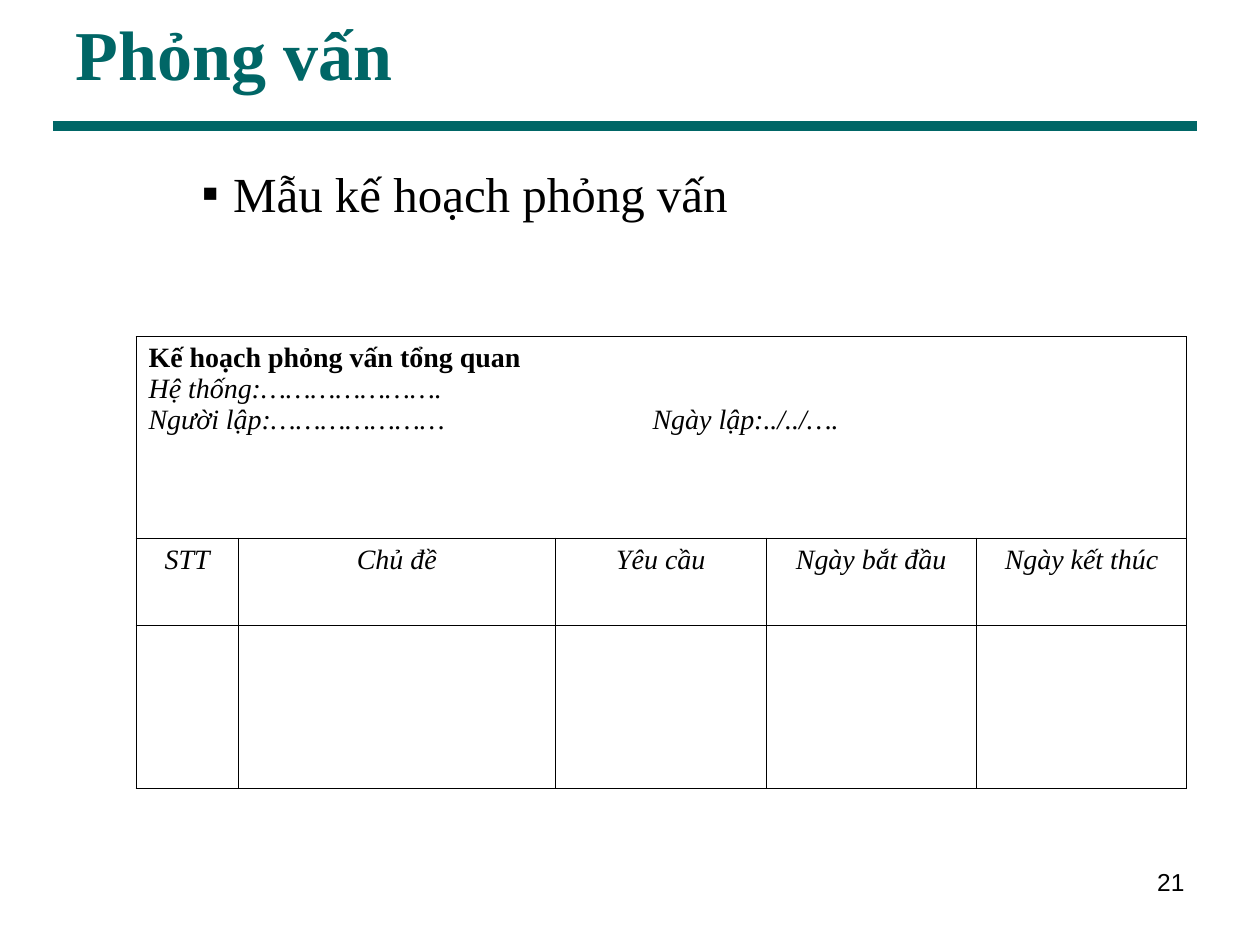
from lxml import etree
from pptx import Presentation
from pptx.dml.color import RGBColor
from pptx.enum.shapes import MSO_CONNECTOR
from pptx.enum.text import MSO_ANCHOR, MSO_AUTO_SIZE, PP_ALIGN
from pptx.oxml.ns import qn
from pptx.util import Inches, Pt

LEFT, CENTER, RIGHT = PP_ALIGN.LEFT, PP_ALIGN.CENTER, PP_ALIGN.RIGHT
SERIF, SANS = "Times New Roman", "Arial"
TEAL, BLACK = "006666", "000000"

# Content
TITLE = "Phỏng vấn"
BULLET = "Mẫu kế hoạch phỏng vấn"
PLAN_LINES = [
    ("Kế hoạch phỏng vấn tổng quan", {"bold": True}),
    ("Hệ thống:………………….", {"italic": True}),
    ("Người lập:…………………\t\tNgày lập:../../….", {"italic": True}),
]
HEADINGS = ["STT", "Chủ đề", "Yêu cầu", "Ngày bắt đầu", "Ngày kết thúc"]
COL_WIDTHS = [0.81, 2.52, 1.67, 1.67, 1.67]
ROW_HEIGHTS = [1.6, 0.69, 1.3]
PAGE = "21"


def rgb(value):
    return RGBColor.from_string(value)


def child(parent, tag, **attrs):
    return etree.SubElement(parent, qn(tag), {k: str(v) for k, v in attrs.items()})


def write(p, text, size, color=BLACK, align=LEFT, name=SERIF, **style):
    p.alignment = align
    r = p.add_run()
    r.text = text
    for key, value in {"size": Pt(size), "name": name, **style}.items():
        setattr(r.font, key, value)
    r.font.color.rgb = rgb(color)


def place(sp, left, top, width, height, anchor=MSO_ANCHOR.TOP):
    sp.left, sp.top, sp.width, sp.height = map(Inches, (left, top, width, height))
    tf = sp.text_frame
    tf.word_wrap, tf.auto_size, tf.vertical_anchor = True, MSO_AUTO_SIZE.NONE, anchor
    return tf.paragraphs[0]


def add_tabs(p, stops):
    tabs = child(p._p.get_or_add_pPr(), "a:tabLst")
    for stop in stops:
        child(tabs, "a:tab", pos=Inches(stop), algn="l")


def add_borders(cell):
    tcPr = cell._tc.get_or_add_tcPr()
    for side in ("a:lnL", "a:lnR", "a:lnT", "a:lnB"):
        ln = child(tcPr, side, w=Pt(0.45))
        child(child(ln, "a:solidFill"), "a:srgbClr", val=BLACK)


prs = Presentation()
prs.slide_width, prs.slide_height = Inches(10), Inches(7.5)
s = prs.slides.add_slide(prs.slide_layouts[1])

# Rule under the title
rule = s.shapes.add_connector(MSO_CONNECTOR.STRAIGHT, Inches(0.42), Inches(1), Inches(9.5), Inches(1))
rule.line.color.rgb = rgb(TEAL)
rule.line.width = Pt(6)
child(rule._element.spPr, "a:effectLst")

# Title
p = place(s.shapes.title, 0.5, 0.3, 9, 0.24, MSO_ANCHOR.MIDDLE)
write(p, TITLE, 40, TEAL, bold=True)

# Bullet
p = place(s.placeholders[1], 0.5, 1.25, 9, 1.25)
p.level = 2
pPr = p._p.get_or_add_pPr()
pPr.set("marL", str(Inches(1.25)))
pPr.set("indent", str(Inches(-0.25)))
child(child(pPr, "a:buClr"), "a:srgbClr", val=BLACK)
child(pPr, "a:buFont", typeface=SERIF)
child(pPr, "a:buChar", char="▪")
p.space_before = Pt(0)
write(p, BULLET, 28)

# Interview plan table
frame = s.shapes.add_table(len(ROW_HEIGHTS), len(COL_WIDTHS), Inches(1.08), Inches(2.67),
                           Inches(sum(COL_WIDTHS)), Inches(sum(ROW_HEIGHTS)))
table = frame.table
table.first_row = table.horz_banding = False
for col, width in zip(table.columns, COL_WIDTHS):
    col.width = Inches(width)
for row, height in zip(table.rows, ROW_HEIGHTS):
    row.height = Inches(height)
    for cell in row.cells:
        add_borders(cell)
        cell.fill.background()

table.cell(0, 0).merge(table.cell(0, len(COL_WIDTHS) - 1))
tf = table.cell(0, 0).text_frame
for i, (text, style) in enumerate(PLAN_LINES):
    p = tf.add_paragraph() if i else tf.paragraphs[0]
    add_tabs(p, range(8))
    write(p, text, 16, **style)
for cell, text in zip(table.rows[1].cells, HEADINGS):
    write(cell.text_frame.paragraphs[0], text, 16, align=CENTER, italic=True)

# Page number
page = s.shapes.add_textbox(0, 0, 0, 0)
write(place(page, 7.17, 6.83, 2.33, 0.52), PAGE, 14, align=RIGHT, name=SANS)

prs.save("out.pptx")
